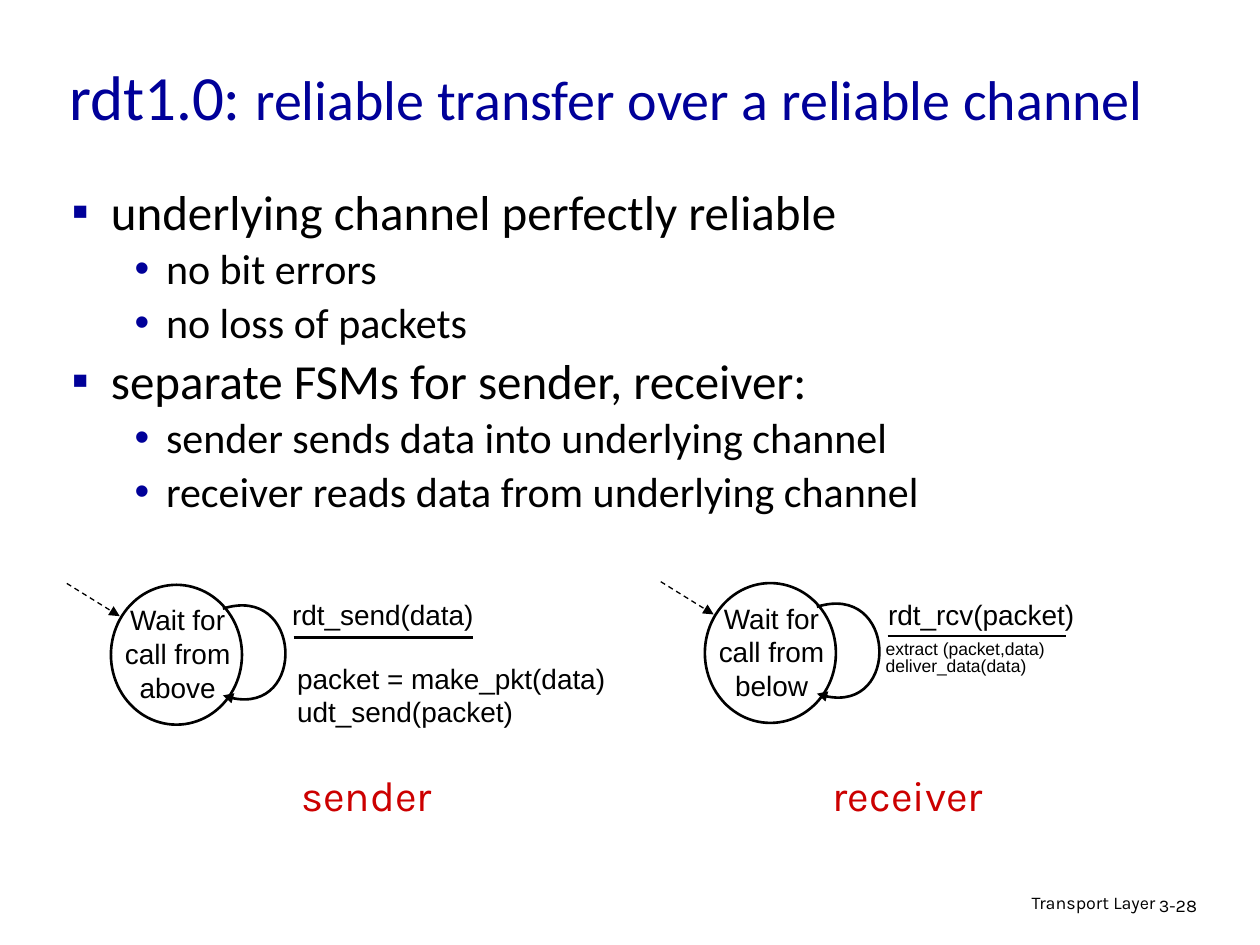
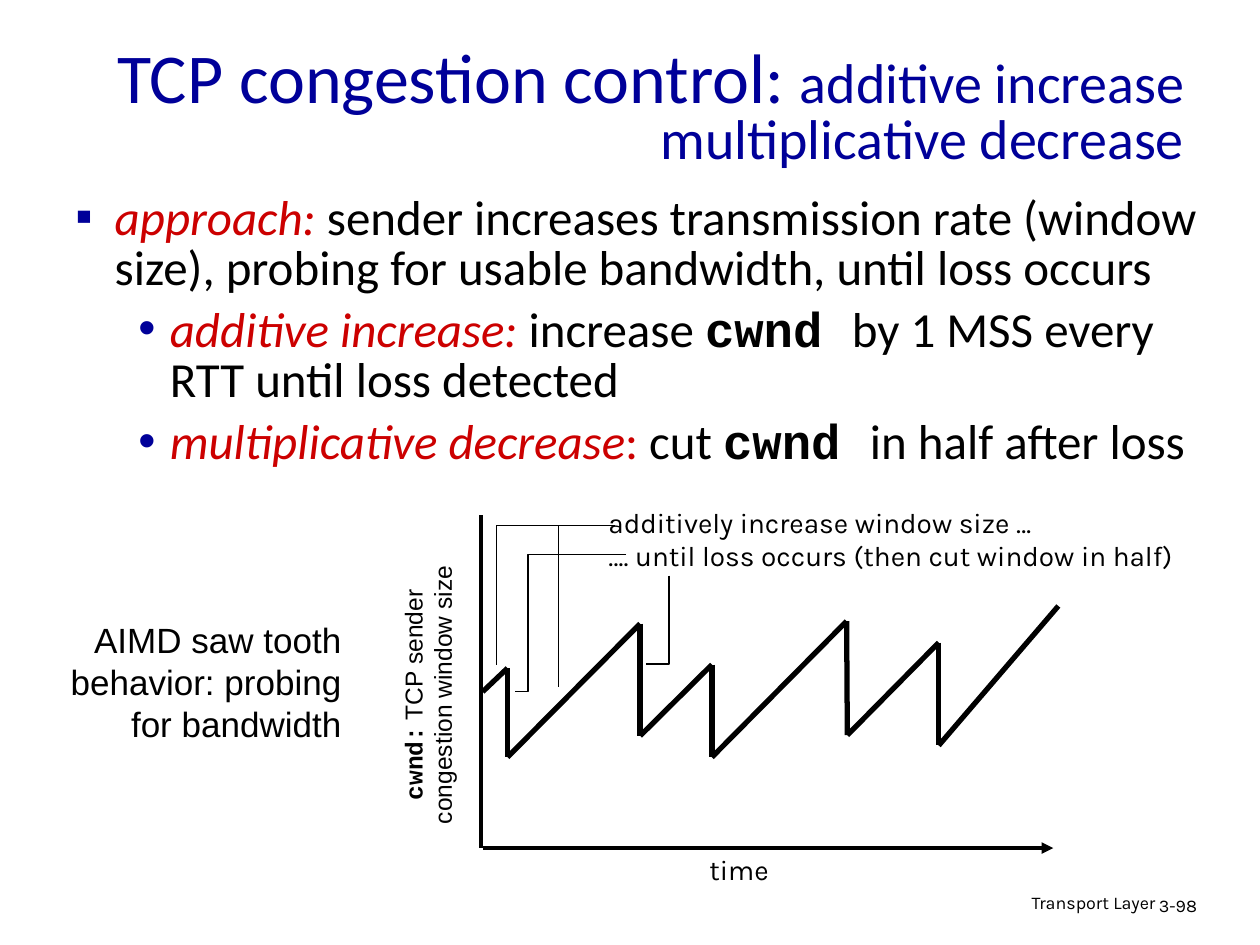
"""Builds two transport-layer slides: the rdt1.0 state machines and the TCP saw tooth."""
from itertools import pairwise

from lxml.etree import SubElement
from pptx import Presentation
from pptx.dml.color import RGBColor
from pptx.enum.dml import MSO_LINE_DASH_STYLE as Dash
from pptx.enum.shapes import MSO_CONNECTOR, MSO_SHAPE
from pptx.enum.text import MSO_ANCHOR, MSO_AUTO_SIZE, PP_ALIGN
from pptx.oxml.ns import qn
from pptx.util import Pt

NAVY = RGBColor(0x00, 0x00, 0x99)
RED = RGBColor(0xCC, 0x00, 0x00)
BLACK = RGBColor(0, 0, 0)
WHITE = RGBColor(0xFF, 0xFF, 0xFF)
LEFT, CENTER, RIGHT = PP_ALIGN.LEFT, PP_ALIGN.CENTER, PP_ALIGN.RIGHT

HEADING = dict(name="Calibri", size=32, color=NAVY)
BODY = dict(name="Calibri", size=28, color=BLACK)
FOOTER = dict(name="Karla", size=10.2, color=BLACK)
CAPTION = dict(name="Karla", size=24, color=RED)
NOTE = dict(name="Karla", size=16, color=BLACK)
FSM = dict(name="Arial", size=16, color=BLACK)
SMALL_FSM = dict(FSM, size=10)
ASIDE = dict(FSM, size=20)
AXIS = dict(FSM, size=14)
TERM = dict(color=RED, italic=True)
CODE = dict(name="Courier New", bold=True)

BULLETS = [("▪", 22.5, -22.5), ("•", 54, -18)]
BOX_INSETS = (7.2, 3.6, 7.2, 3.6)

RDT_TITLE = [("rdt1.0: ", dict(size=36)), "reliable transfer over a reliable channel"]
RDT_POINTS = [
    (0, "underlying channel perfectly reliable"),
    (1, "no bit errors"),
    (1, "no loss of packets"),
    (0, "separate FSMs for sender, receiver:"),
    (1, "sender sends data into underlying channel"),
    (1, "receiver reads data from underlying channel"),
]
MACHINES = [
    dict(
        shift=(0, 0),
        state="Wait for call from above",
        event=("rdt_send(data)", (159.8, 337.7, 178, 33.8)),
        actions=(["packet = make_pkt(data)", "udt_send(packet)"],
                 (162.7, 374.4, 211, 46.8), FSM, 1),
        role=("sender", (163.4, 436.3, 92.2, 36)),
    ),
    dict(
        shift=(339.4, -1),
        state="Wait for call from below",
        event=("rdt_rcv(packet)", (500.4, 337.7, 178, 33.8)),
        actions=(["extract (packet,data)", "deliver_data(data)"],
                 (499, 363.6, 195.8, 33.8), SMALL_FSM, 0.8),
        role=("receiver", (466.6, 436.3, 104.4, 36)),
    ),
]
STATE_CIRCLE = (63.4, 334.2, 74.9, 79.9)
STATE_LABEL = (58.3, 341, 86.4, 72)
ENTRY_ARROW = [(38.2, 333.4), (68.4, 352.1)]
EVENT_RULE = [(167.8, 364.4), (270, 364.4)]
SELF_LOOP = [(127.4, 347.8), (172.8, 333.4), (175.7, 414), (127.4, 397.4)]

AIMD_TITLE = [("TCP congestion control: ", dict(size=40)),
              "additive increase multiplicative decrease"]
AIMD_POINTS = [
    (0, [("approach: ", TERM),
         "sender increases transmission rate (window size), "
         "probing for usable bandwidth, until loss occurs"]),
    (1, [("additive increase:", TERM), " increase ", ("cwnd ", CODE),
         "by 1 MSS every RTT until loss detected"]),
    (1, [("multiplicative decrease", TERM), (":", dict(color=RED)), " cut ",
         ("cwnd ", CODE), "in half after loss"]),
]
ASIDE_LINES = ["AIMD saw tooth", "behavior: probing", "for bandwidth"]
AXIS_LINES = [[("cwnd:", CODE), " TCP sender"], "congestion window size"]
NOTE_LINES = ["additively increase window size …",
              "…. until loss occurs (then cut window in half)"]
TIME_AXIS = [(275.8, 484.6), (601.9, 484.6)]
WINDOW_AXIS = [(275, 294.5), (275, 484.6)]
SAW_TOOTH = [
    (275.8, 395.3), (290, 381.8), (290, 432.7), (365.8, 356.4),
    (365.8, 420.5), (406.8, 379.8), (406.8, 432.7), (483.8, 355),
    (484.2, 420.1), (536.4, 367.2), (536.4, 426), (604.8, 346.3),
]
LEADERS = [
    [(351.4, 300.2), (283.7, 300.2), (283.7, 380.2)],
    [(357.8, 316.8), (301.7, 316.8), (301.7, 395.3), (294.5, 395.3)],
    [(351.4, 300.2), (319, 300.2), (319, 392.4)],
    [(382.3, 329), (382.3, 379.4), (369.4, 379.4)],
]


def points(values):
    return [Pt(value) for value in values]


def moved(spots, shift):
    return [(x + shift[0], y + shift[1]) for x, y in spots]


def style_font(font, color=None, size=None, **settings):
    if color is not None:
        font.color.rgb = color
    if size:
        font.size = Pt(size)
    for key, value in settings.items():
        setattr(font, key, value)


def add_bullet(paragraph, level):
    mark, margin, indent = BULLETS[level]
    props = paragraph._p.get_or_add_pPr()
    props.set("marL", str(Pt(margin)))
    props.set("indent", str(Pt(indent)))
    tint = SubElement(props, qn("a:buClr"))
    SubElement(tint, qn("a:srgbClr")).set("val", str(NAVY))
    SubElement(props, qn("a:buFont")).set("typeface", "Arial")
    SubElement(props, qn("a:buChar")).set("char", mark)
    paragraph.level = level


def fill_paragraph(paragraph, content, style, align=LEFT, spacing=1):
    paragraph.alignment = align
    paragraph.line_spacing = spacing
    style_font(paragraph.font, **style)
    for piece in [content] if isinstance(content, str) else content:
        words, changes = (piece, {}) if isinstance(piece, str) else piece
        run = paragraph.add_run()
        run.text = words
        style_font(run.font, **changes)


def add_box(slide, place, anchor=MSO_ANCHOR.TOP, grow=False):
    box = slide.shapes.add_textbox(*points(place))
    frame = box.text_frame
    frame.word_wrap = not grow
    frame.auto_size = MSO_AUTO_SIZE.SHAPE_TO_FIT_TEXT if grow else MSO_AUTO_SIZE.NONE
    frame.vertical_anchor = anchor
    (frame.margin_left, frame.margin_top,
     frame.margin_right, frame.margin_bottom) = points(BOX_INSETS)
    return box


def paragraphs(frame, count):
    return [frame.paragraphs[0]] + [frame.add_paragraph() for _ in range(count - 1)]


def add_text(slide, place, lines, style, align=LEFT, spacing=1, **box_settings):
    box = add_box(slide, place, **box_settings)
    for paragraph, line in zip(paragraphs(box.text_frame, len(lines)), lines):
        fill_paragraph(paragraph, line, style, align, spacing)
    return box


def add_points(slide, place, items, sizes, gaps):
    frame = add_box(slide, place).text_frame
    for index, (paragraph, (level, content)) in enumerate(
            zip(paragraphs(frame, len(items)), items)):
        add_bullet(paragraph, level)
        fill_paragraph(paragraph, content, dict(BODY, size=sizes[level]), spacing=0.85)
        if index:
            paragraph.space_before = Pt(gaps[level])


def draw_line(line, width, arrow=False):
    line.color.rgb = BLACK
    line.width = Pt(width)
    if arrow:
        SubElement(line._get_or_add_ln(), qn("a:tailEnd")).set("type", "triangle")


def add_line(slide, ends, width, arrow=False, dash=None):
    (x1, y1), (x2, y2) = ends
    connector = slide.shapes.add_connector(
        MSO_CONNECTOR.STRAIGHT, *points((x1, y1, x2, y2)))
    if dash:
        connector.line.dash_style = dash
    draw_line(connector.line, width, arrow)
    SubElement(connector._element.spPr, qn("a:effectLst"))


def add_outline(slide, spots, width, arrow=False, curved=False):
    start, *rest = [points(spot) for spot in spots]
    builder = slide.shapes.build_freeform(*start)
    builder.add_line_segments(rest, close=False)
    outline = builder.convert_to_shape()
    outline.shadow.inherit = False
    outline.fill.background()
    if curved:
        segments = list(outline._element.iter(qn("a:lnTo")))
        curve = SubElement(segments[0].getparent(), qn("a:cubicBezTo"))
        for segment in segments:
            curve.append(segment[0])
            segment.getparent().remove(segment)
    draw_line(outline.line, width, arrow)


def add_machine(slide, machine):
    dx, dy = shift = machine["shift"]
    left, top, width, height = STATE_CIRCLE
    circle = slide.shapes.add_shape(
        MSO_SHAPE.OVAL, *points((left + dx, top + dy, width, height)))
    circle.shadow.inherit = False
    circle.fill.solid()
    circle.fill.fore_color.rgb = WHITE
    draw_line(circle.line, 1.5)
    left, top, width, height = STATE_LABEL
    add_text(slide, (left + dx, top + dy, width, height), [machine["state"]], FSM, CENTER)
    add_outline(slide, moved(SELF_LOOP, shift), 1.5, arrow=True, curved=True)
    add_line(slide, moved(EVENT_RULE, shift), 1.5)
    add_line(slide, moved(ENTRY_ARROW, shift), 0.75, arrow=True, dash=Dash.DASH)
    event, event_place = machine["event"]
    add_text(slide, event_place, [event], FSM)
    actions, action_place, style, spacing = machine["actions"]
    add_text(slide, action_place, actions, style, spacing=spacing)
    role, role_place = machine["role"]
    add_text(slide, role_place, [role], CAPTION, CENTER, grow=True)


def add_slide(deck, number, title, title_place, align=LEFT, spacing=1):
    slide = deck.slides.add_slide(deck.slide_layouts[6])
    add_text(slide, (439.2, 507.6, 228.2, 22.3), ["Transport Layer"], FOOTER, RIGHT, 0.9)
    add_text(slide, (655.2, 509, 53.3, 21.6), [number], FOOTER, spacing=0.9)
    add_text(slide, title_place, [title], HEADING, align, spacing,
             anchor=MSO_ANCHOR.MIDDLE)
    return slide


def build_rdt(deck):
    slide = add_slide(deck, "3-28", RDT_TITLE, (32.4, 15.1, 630, 79.2))
    add_points(slide, (33.8, 105.1, 622, 237.6), RDT_POINTS, (28, 24), (7, 6))
    for machine in MACHINES:
        add_machine(slide, machine)


def build_aimd(deck):
    slide = add_slide(deck, "3-98", AIMD_TITLE, (18, 18, 666, 90), RIGHT, 0.8)
    add_points(slide, (36, 108, 659.5, 113.8), AIMD_POINTS, (28, 28), (7, 7))
    axis_label = add_text(slide, (163.4, 376.6, 162, 41), AXIS_LINES, AXIS, CENTER,
                          grow=True)
    axis_label.rotation = 270
    axis_label.fill.solid()
    axis_label.fill.fore_color.rgb = WHITE
    add_text(slide, (33.1, 349.9, 169.2, 79.2), ASIDE_LINES, ASIDE, RIGHT, grow=True)
    add_line(slide, TIME_AXIS, 2.25, arrow=True)
    add_line(slide, WINDOW_AXIS, 2.25)
    for ends in pairwise(SAW_TOOTH):
        add_line(slide, ends, 3)
    add_text(slide, (340.6, 285.1, 344.2, 46.1), NOTE_LINES, NOTE, grow=True)
    for leader in LEADERS:
        add_outline(slide, leader, 0.75)
    add_text(slide, (398.2, 483.8, 48.2, 26.6), ["time"], NOTE, CENTER, grow=True)


def main():
    deck = Presentation()
    deck.slide_width, deck.slide_height = Pt(720), Pt(540)
    build_rdt(deck)
    build_aimd(deck)
    deck.save("out.pptx")


if __name__ == "__main__":
    main()
